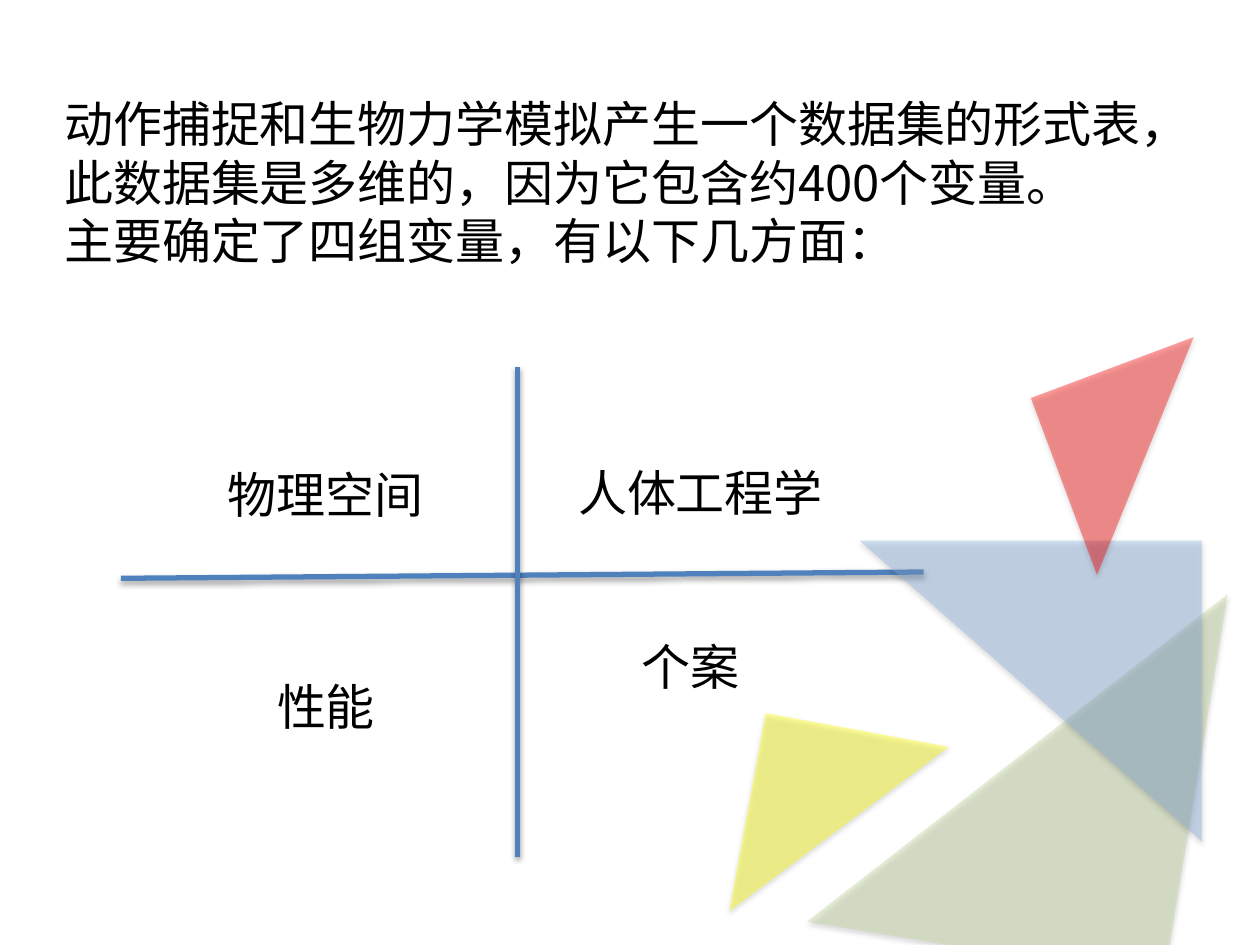
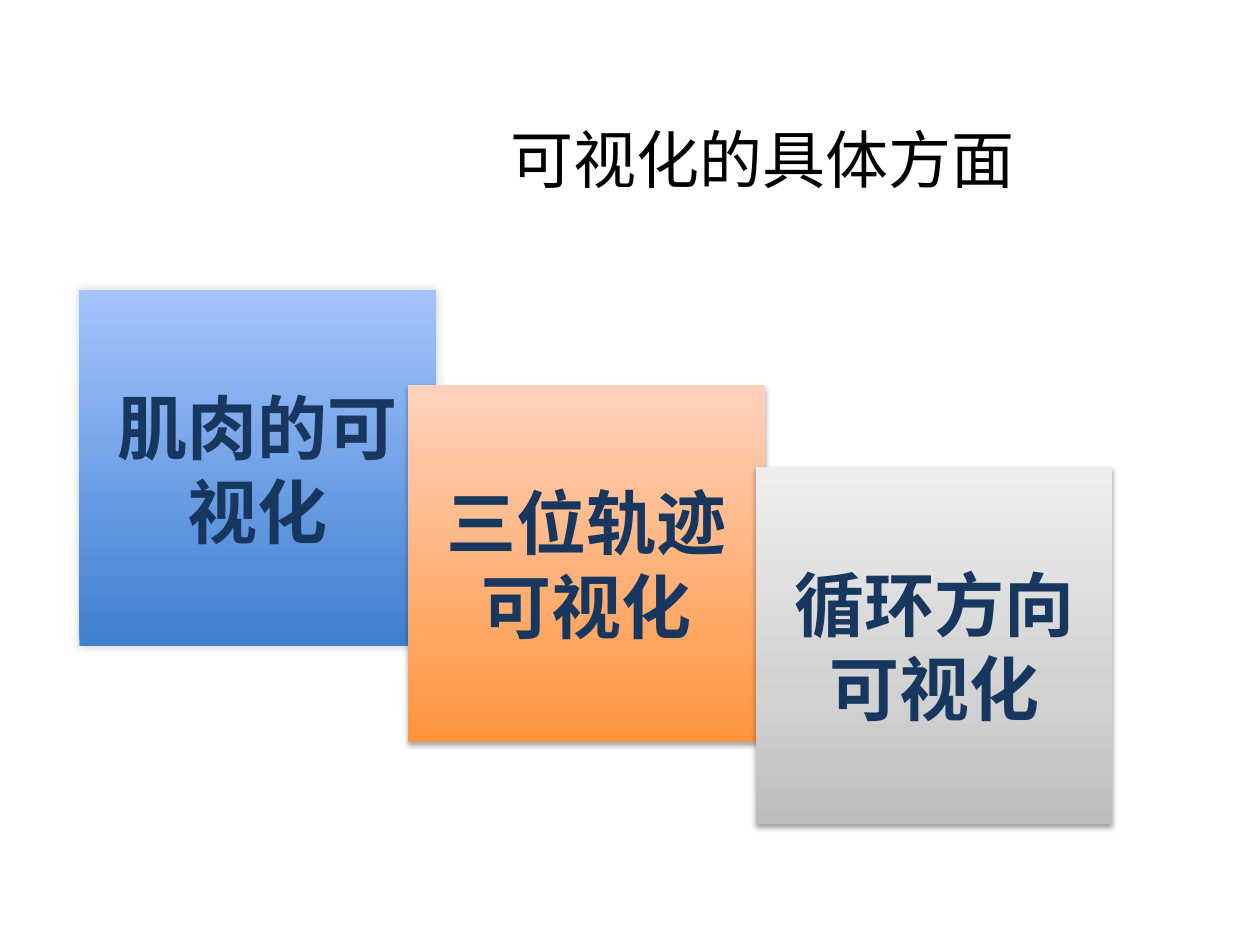
from dataclasses import dataclass

from lxml.etree import SubElement
from pptx import Presentation
from pptx.dml.color import RGBColor
from pptx.enum.shapes import MSO_CONNECTOR as LINE, MSO_SHAPE as SHAPE
from pptx.enum.text import MSO_ANCHOR as ANCHOR, MSO_AUTO_SIZE as AUTO, PP_ALIGN as ALIGN
from pptx.oxml.ns import qn
from pptx.util import Inches, Pt


@dataclass(frozen=True)
class Theme:
    font: str = "Noto Sans CJK SC"
    text: str = "000000"
    navy: str = "17375E"
    axis: str = "4F81BD"
    green: str = "C3D69B"
    yellow: str = "FFFF00"
    blue: str = "8EB4E3"
    red: str = "FF0000"
    body_size: int = 28
    title_size: int = 36
    card_size: int = 40
    triangle_alpha: int = 39
    # Gradients run from bottom to top: (position in percent, colour)
    blue_card: tuple = ((0, "3F80CE"), (100, "A4C4FF"))
    orange_card: tuple = ((0, "FF953E"), (100, "FFD2BD"))
    grey_card: tuple = ((0, "BDBDBD"), (35, "D1D1D1"), (100, "EEEEEE"))
    # Shadows: (alpha in percent, blur in points, distance in points, angle)
    strong_shadow: tuple = (38, 3.1, 1.6, 90)
    soft_shadow: tuple = (35, 3.1, 1.8, 90)
    glow_shadow: tuple = (20, 6, 0, 315)


T = Theme()


def set_all(obj, values):
    for name, value in values.items():
        setattr(obj, name, value)


def add_xml(parent, tag, **attrs):
    return SubElement(parent, qn(tag), {k: str(v) for k, v in attrs.items()})


def add_shadow(shape, shadow):
    alpha, blur, dist, angle = shadow
    effects = add_xml(shape.element.spPr, "a:effectLst")
    outer = add_xml(effects, "a:outerShdw", blurRad=Pt(blur), dist=Pt(dist),
                    dir=angle * 60000, rotWithShape=0)
    color = add_xml(outer, "a:srgbClr", val="000000")
    add_xml(color, "a:alpha", val=alpha * 1000)


def fill_gradient(sp, stops):
    sp.fill.gradient()
    grad = sp.element.spPr.find(qn("a:gradFill"))
    for child in list(grad):
        grad.remove(child)
    stop_list = add_xml(grad, "a:gsLst")
    for pos, color in stops:
        stop = add_xml(stop_list, "a:gs", pos=pos * 1000)
        add_xml(stop, "a:srgbClr", val=color)
    add_xml(grad, "a:lin", ang=270 * 60000, scaled=0)


def write(tf, lines, size, color=T.text, bold=False, align=ALIGN.LEFT):
    for i, line in enumerate(lines):
        p = tf.paragraphs[0] if i == 0 else tf.add_paragraph()
        p.alignment = align
        r = p.add_run()
        r.text = line
        set_all(r.font, {"name": T.font, "size": Pt(size), "bold": bold})
        r.font.color.rgb = RGBColor.from_string(color)
        add_xml(r.font._element, "a:ea", typeface=T.font)


def write_unwrapped(sp, lines, size):
    tf = sp.text_frame
    set_all(tf, {"word_wrap": False, "auto_size": AUTO.SHAPE_TO_FIT_TEXT,
                 "vertical_anchor": ANCHOR.TOP})
    write(tf, lines, size)


def add_titled_slide(prs, lines, size, left, top, width, height):
    slide = prs.slides.add_slide(prs.slide_layouts[5])
    title = slide.shapes.title
    set_all(title, {"left": Inches(left), "top": Inches(top),
                    "width": Inches(width), "height": Inches(height)})
    write_unwrapped(title, lines, size)
    return slide


def add_label(slide, text, left, top, width):
    sp = slide.shapes.add_textbox(Inches(left), Inches(top), Inches(width), Inches(0.57))
    write_unwrapped(sp, [text], T.body_size)


def add_axis(slide, x1, y1, x2, y2):
    line = slide.shapes.add_connector(LINE.STRAIGHT, Inches(x1), Inches(y1),
                                      Inches(x2), Inches(y2))
    line.line.width = Pt(3)
    line.line.color.rgb = RGBColor.from_string(T.axis)
    add_shadow(line, T.strong_shadow)


def add_shape(slide, kind, left, top, width, height):
    sp = slide.shapes.add_shape(kind, Inches(left), Inches(top), Inches(width), Inches(height))
    sp.line.fill.background()
    return sp


def add_triangle(slide, color, rotation, left, top, width, height):
    sp = add_shape(slide, SHAPE.RIGHT_TRIANGLE, left, top, width, height)
    sp.rotation = rotation
    sp.fill.solid()
    sp.fill.fore_color.rgb = RGBColor.from_string(color)
    srgb = sp.element.spPr.find(qn("a:solidFill")).find(qn("a:srgbClr"))
    add_xml(srgb, "a:alpha", val=T.triangle_alpha * 1000)
    add_shadow(sp, T.soft_shadow)


def add_card(slide, text, left, top, stops, shadow):
    side = 2.83
    sp = add_shape(slide, SHAPE.RECTANGLE, left, top, side, side)
    fill_gradient(sp, stops)
    add_shadow(sp, shadow)
    set_all(sp.text_frame, {"word_wrap": True, "vertical_anchor": ANCHOR.MIDDLE})
    write(sp.text_frame, [text], T.card_size, T.navy, True, ALIGN.CENTER)


def build_variable_groups(prs):
    intro = ["动作捕捉和生物力学模拟产生一个数据集的形式表，",
             "此数据集是多维的，因为它包含约400个变量。",
             "主要确定了四组变量，有以下几方面："]
    slide = add_titled_slide(prs, intro, T.body_size, 0.41, 0.69, 9.23, 1.99)
    for label in (("物理空间", 1.71, 3.64, 1.77), ("人体工程学", 4.49, 3.62, 2.17),
                  ("性能", 2.1, 5.32, 0.99), ("个案", 4.99, 5, 0.99)):
        add_label(slide, *label)
    add_axis(slide, 0.96, 4.59, 7.33, 4.54)
    add_axis(slide, 4.11, 2.91, 4.11, 6.8)
    for triangle in ((T.green, 279.4, 6.52, 4.58, 3.11, 2.87),
                     (T.yellow, 100.4, 5.86, 5.84, 1.6, 1.48),
                     (T.blue, 180, 6.82, 4.29, 2.72, 2.39),
                     (T.red, 69.5, 8.34, 2.93, 1.5, 1.38)):
        add_triangle(slide, *triangle)


def build_visualization_aspects(prs):
    slide = add_titled_slide(prs, ["可视化的具体方面"], T.title_size, 3.95, 0.91, 4.24, 0.71)
    for card in (("肌肉的可视化", 0.63, 2.3, T.blue_card, T.glow_shadow),
                 ("三位轨迹可视化", 3.24, 3.06, T.orange_card, T.soft_shadow),
                 ("循环方向可视化", 6, 3.71, T.grey_card, T.strong_shadow)):
        add_card(slide, *card)


def main():
    prs = Presentation()
    set_all(prs, {"slide_width": Inches(10), "slide_height": Inches(7.5)})
    build_variable_groups(prs)
    build_visualization_aspects(prs)
    prs.save("out.pptx")


if __name__ == "__main__":
    main()
